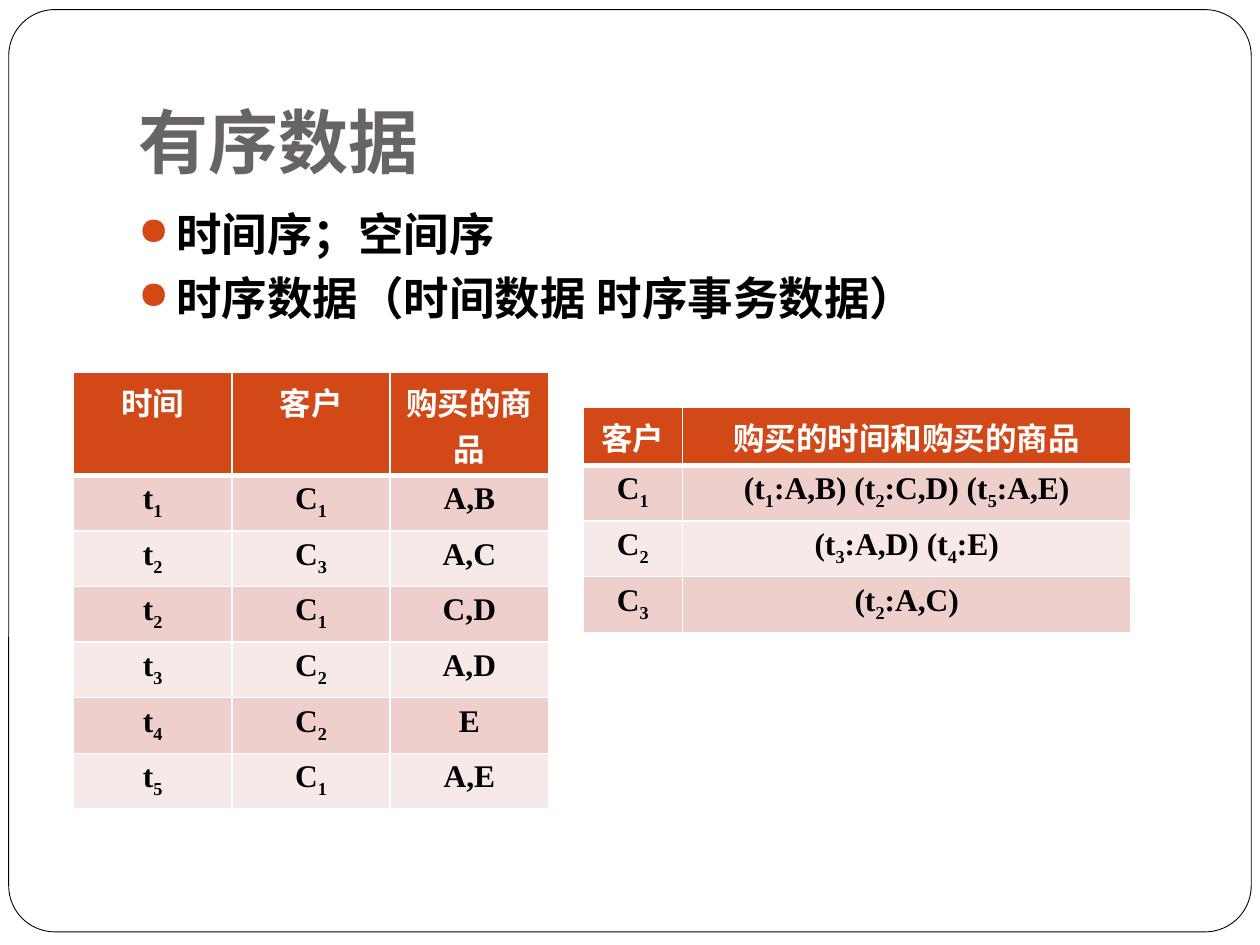
"""Build the slide on ordered data with its two transaction tables."""
from itertools import groupby

from lxml import etree
from pptx import Presentation
from pptx.dml.color import RGBColor
from pptx.enum import shapes, text
from pptx.oxml import ns
from pptx.util import Pt

WHITE = RGBColor(0xFF, 0xFF, 0xFF)
BLACK = RGBColor(0x00, 0x00, 0x00)
GRAY = RGBColor(0x69, 0x64, 0x64)
ORANGE = RGBColor(0xD3, 0x48, 0x17)
BANDS = [RGBColor(0xF7, 0xE9, 0xE8), RGBColor(0xEF, 0xCF, 0xCC)]

TITLE_FONT = {"name": "Lato", "size": Pt(40), "bold": True}
BODY_FONT = {"name": "Times New Roman", "size": Pt(26), "bold": True}
TABLE_FONT = {"name": "Times New Roman", "size": Pt(18), "bold": True}
CELL_FORMAT = {"margin_left": Pt(5), "margin_right": Pt(5),
               "margin_top": Pt(3.6), "margin_bottom": Pt(3.6)}


def add_run(paragraph, content, font, color, east_asian=None):
    run = paragraph.add_run()
    run.text = content
    for name, value in font.items():
        setattr(run.font, name, value)
    run.font.color.rgb = color
    properties = run._r.get_or_add_rPr()
    if east_asian:
        etree.SubElement(properties, ns.qn("a:ea"), typeface=east_asian)
    return properties


def set_border(cell, side, width):
    line = etree.Element(ns.qn(f"a:ln{side}"), w=str(Pt(width)))
    fill = etree.SubElement(line, ns.qn("a:solidFill"))
    etree.SubElement(fill, ns.qn("a:srgbClr"), val=str(WHITE))
    cell._tc.get_or_add_tcPr().append(line)


presentation = Presentation()
presentation.slide_width, presentation.slide_height = Pt(720), Pt(540)
slide = presentation.slides.add_slide(presentation.slide_layouts[6])

frame = slide.shapes.add_shape(shapes.MSO_SHAPE.ROUNDED_RECTANGLE,
                               Pt(5), Pt(5.5), Pt(710), Pt(527))
frame.adjustments[0] = 0.05
frame.shadow.inherit = False
frame.fill.solid()
frame.fill.fore_color.rgb = WHITE
frame.line.color.rgb = BLACK
frame.line.width = Pt(0.5)

title = slide.shapes.add_textbox(Pt(72), Pt(21.6), Pt(612), Pt(90)).text_frame
title_format = {"word_wrap": True, "margin_bottom": Pt(7.2),
                "vertical_anchor": text.MSO_ANCHOR.BOTTOM}
for name, value in title_format.items():
    setattr(title, name, value)
add_run(title.paragraphs[0], "有序数据", TITLE_FONT, GRAY, "Lato")

body = slide.shapes.add_textbox(Pt(72), Pt(114), Pt(612), Pt(94)).text_frame
body.word_wrap = True
points = ["时间序；空间序", "时序数据（时间数据 时序事务数据）"]
for index, point in enumerate(points):
    paragraph = body.add_paragraph() if index else body.paragraphs[0]
    paragraph.space_before = Pt(5.8)
    properties = paragraph._p.get_or_add_pPr()
    properties.set("marL", str(Pt(21.6)))
    properties.set("indent", str(Pt(-21.6)))
    bullet_color = etree.SubElement(properties, ns.qn("a:buClr"))
    etree.SubElement(bullet_color, ns.qn("a:srgbClr"), val=str(ORANGE))
    etree.SubElement(properties, ns.qn("a:buSzPct"), val="85000")
    etree.SubElement(properties, ns.qn("a:buChar"), char="●")
    add_run(paragraph, point, BODY_FONT, BLACK, "Lato")

tables = [
    {"left": 42, "top": 213, "columns": [90.5, 90.5, 90.5],
     "header": 58.6, "row": 30,
     "cells": [["时间", "客户", "购买的商品"],
               ["t1", "C1", "A,B"],
               ["t2", "C3", "A,C"],
               ["t2", "C1", "C,D"],
               ["t3", "C2", "A,D"],
               ["t4", "C2", "E"],
               ["t5", "C1", "A,E"]]},
    {"left": 333.3, "top": 232.8, "columns": [56.7, 256.3],
     "header": 33.2, "row": 31,
     "cells": [["客户", "购买的时间和购买的商品"],
               ["C1", "(t1:A,B) (t2:C,D) (t5:A,E)"],
               ["C2", "(t3:A,D) (t4:E)"],
               ["C3", "(t2:A,C)"]]},
]
for data in tables:
    cells, columns = data["cells"], data["columns"]
    heights = [data["header"]] + [data["row"]] * (len(cells) - 1)
    table = slide.shapes.add_table(
        len(cells), len(columns), Pt(data["left"]), Pt(data["top"]),
        Pt(sum(columns)), Pt(sum(heights))).table
    for column, width in zip(table.columns, columns):
        column.width = Pt(width)
    for row_index, (row, height) in enumerate(zip(cells, heights)):
        table.rows[row_index].height = Pt(height)
        is_header = row_index == 0
        for column_index, content in enumerate(row):
            cell = table.cell(row_index, column_index)
            for name, value in CELL_FORMAT.items():
                setattr(cell, name, value)
            set_border(cell, "L", 1)
            set_border(cell, "R", 1)
            set_border(cell, "T", 3 if row_index == 1 else 1)
            set_border(cell, "B", 3 if is_header else 1)
            cell.fill.solid()
            cell.fill.fore_color.rgb = ORANGE if is_header else BANDS[row_index % 2]
            paragraph = cell.text_frame.paragraphs[0]
            paragraph.alignment = text.PP_ALIGN.CENTER
            for is_subscript, letters in groupby(content, str.isdigit):
                properties = add_run(paragraph, "".join(letters), TABLE_FONT,
                                     WHITE if is_header else BLACK)
                if is_subscript:
                    properties.set("baseline", "-25000")

presentation.save("out.pptx")
